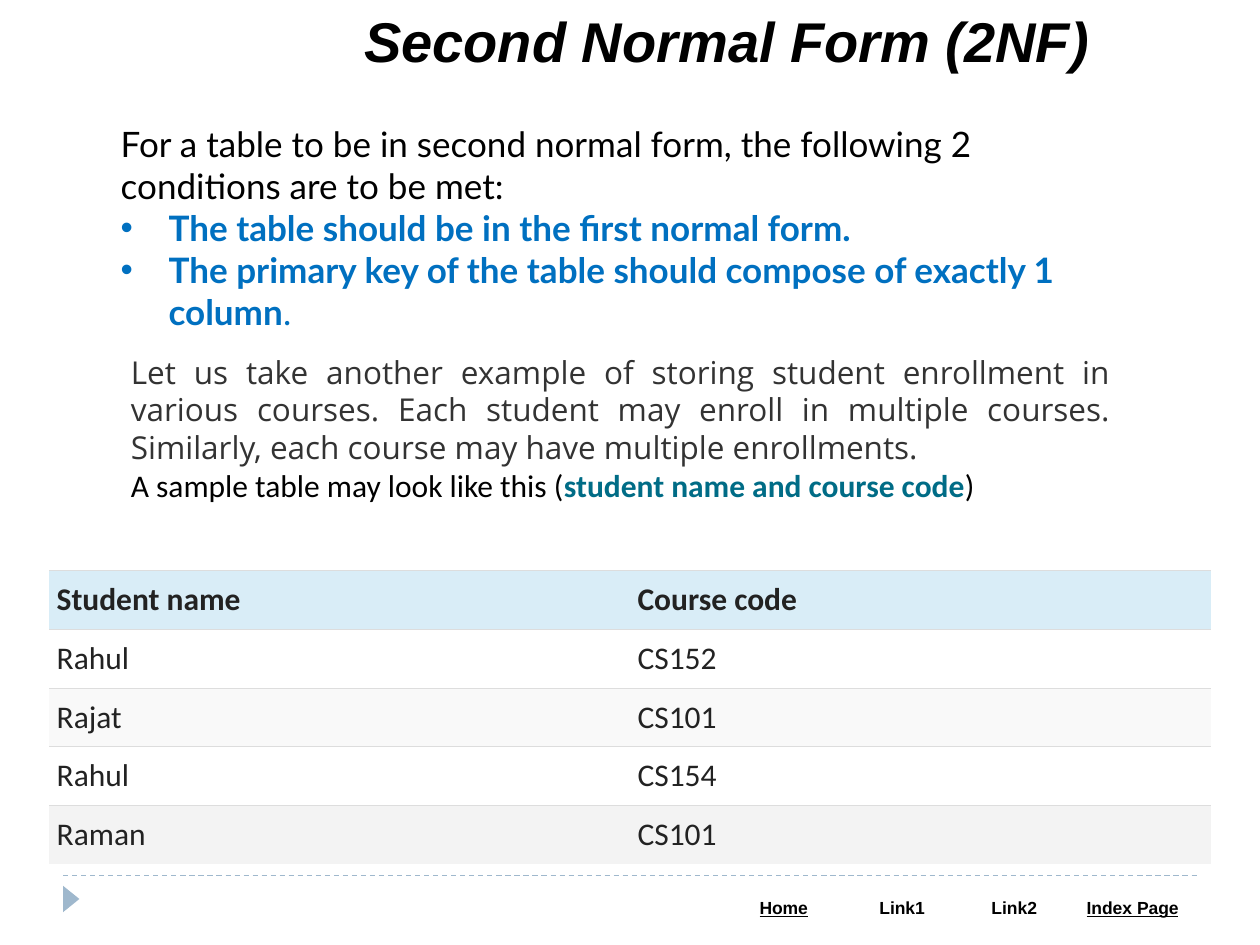
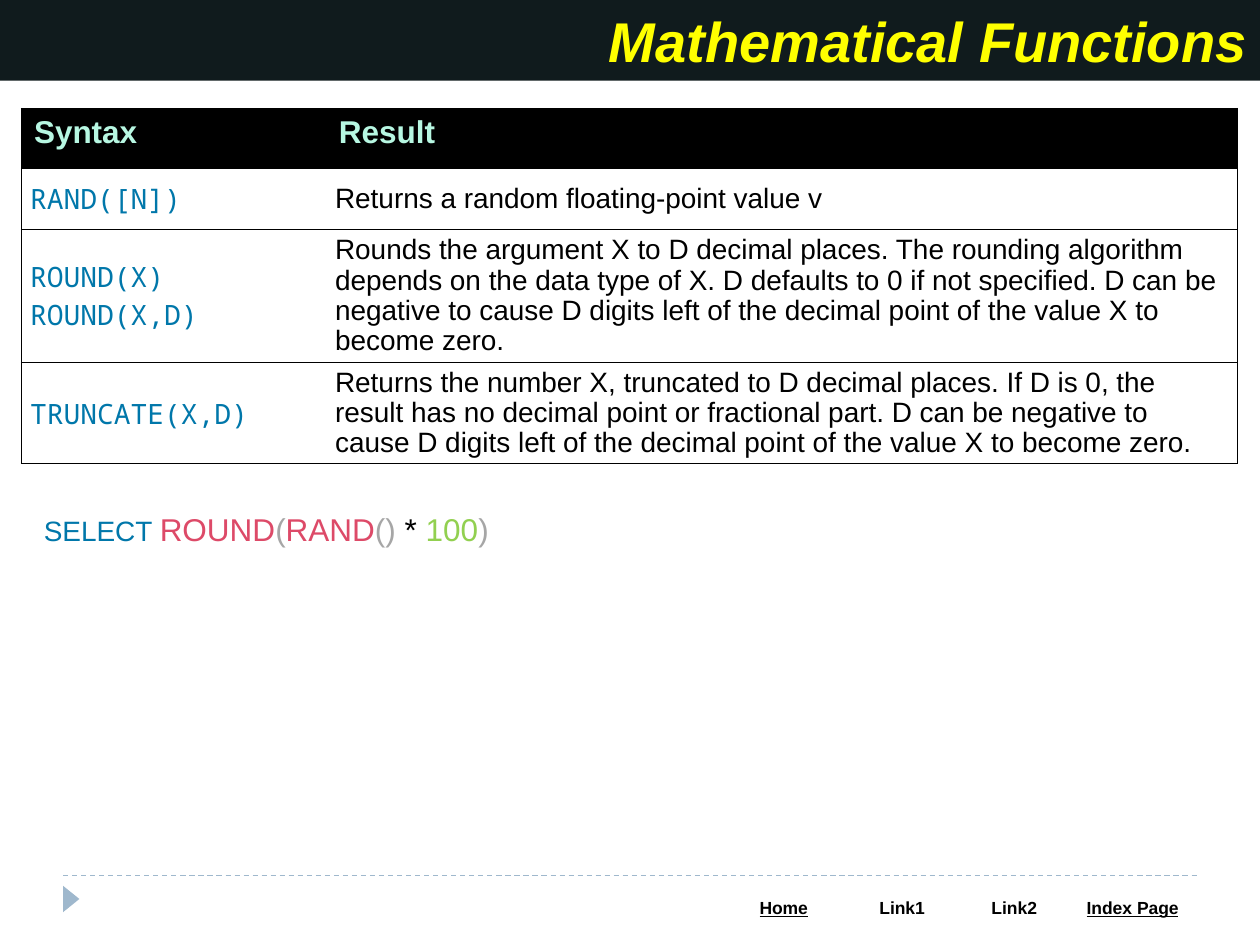
from collections import namedtuple

from lxml import etree
from pptx import Presentation
from pptx.dml.color import RGBColor
from pptx.enum.dml import MSO_LINE_DASH_STYLE as Dash
from pptx.enum.shapes import MSO_CONNECTOR as Connector, MSO_SHAPE as Shape
from pptx.enum.text import MSO_ANCHOR as Anchor, PP_ALIGN as Align
from pptx.oxml.ns import qn
from pptx.util import Inches, Pt

Box = namedtuple("Box", "left top width height")
Style = namedtuple("Style", "font size color bold italic underline", defaults=(False, False, False))

BLACK, WHITE = "000000", "FFFFFF"
ACCENT, RULE_GRAY = "9FB8CD", "DDDDDD"
CODE_BLUE, CODE_RED, CODE_GRAY, CODE_GREEN = "0077AA", "DD4A68", "A6A6A6", "92D050"
FOOTER_LINKS = [("Home", 0.94, True), ("Link1", 0.94, False),
                ("Link2", 0.84, False), ("Index Page", 1.04, True)]
ENROLLMENTS = [("Student name", "Course code"), ("Rahul", "CS152"), ("Rajat", "CS101"),
               ("Rahul", "CS154"), ("Raman", "CS101")]
ENROLLMENT_FILLS = ["D9EDF7", WHITE, "F9F9F9", WHITE, "F3F3F3"]
FUNCTIONS = [
    (["RAND([N])"], "Returns a random floating-point value v", 0.48),
    (["ROUND(X)", "ROUND(X,D)"],
     "Rounds the argument X to D decimal places. The rounding algorithm depends on the data type "
     "of X. D defaults to 0 if not specified. D can be negative to cause D digits left of the "
     "decimal point of the value X to become zero.", 1.06),
    (["TRUNCATE(X,D)"],
     "Returns the number X, truncated to D decimal places. If D is 0, the result has no decimal "
     "point or fractional part. D can be negative to cause D digits left of the decimal point of "
     "the value X to become zero.", 0.8),
]


def rgb(color):
    """Turn a hex string into a colour."""
    return RGBColor.from_string(color)


def inches(box):
    """Give the four lengths of a box."""
    return [Inches(length) for length in box]


def apply_style(font, style):
    """Set a font from a style."""
    font.name, font.size = style.font, Pt(style.size)
    font.bold, font.italic, font.underline = style.bold, style.italic, style.underline
    font.color.rgb = rgb(style.color)


def write_runs(paragraph, runs, align=Align.LEFT):
    """Fill a paragraph with (text, style) runs."""
    paragraph.alignment = align
    if len({style for _, style in runs}) == 1:
        apply_style(paragraph.font, runs[0][1])
    for text, style in runs:
        run = paragraph.add_run()
        run.text = text
        apply_style(run.font, style)


def write_paragraphs(frame, paragraphs, align=Align.LEFT):
    """Write one paragraph for each list of runs."""
    for index, runs in enumerate(paragraphs):
        paragraph = frame.add_paragraph() if index else frame.paragraphs[0]
        write_runs(paragraph, runs, align)
    return frame.paragraphs


def add_text(slide, box, paragraphs, align=Align.LEFT):
    """Add a wrapped text box and return its paragraphs."""
    frame = slide.shapes.add_textbox(*inches(box)).text_frame
    frame.word_wrap = True
    return write_paragraphs(frame, paragraphs, align)


def add_bullet(paragraph, indent):
    """Give a paragraph a hanging round bullet."""
    properties = paragraph._p.get_or_add_pPr()
    properties.set("marL", str(Inches(indent)))
    properties.set("indent", str(-Inches(indent)))
    etree.SubElement(properties, qn("a:buFont"), typeface="Arial")
    etree.SubElement(properties, qn("a:buChar"), char="•")


def add_table(slide, box, widths, heights):
    """Add an unbanded table with the given columns and rows."""
    table = slide.shapes.add_table(len(heights), len(widths), *inches(box)).table
    table.first_row = table.horz_banding = False
    for column, width in zip(table.columns, widths):
        column.width = Inches(width)
    for row, height in zip(table.rows, heights):
        row.height = Inches(height)
    return table


def set_cell(cell, paragraphs, fill, align=Align.LEFT, anchor=Anchor.TOP, insets=(0.1, 0.05)):
    """Write, fill and align a cell with side and top insets."""
    cell.fill.solid()
    cell.fill.fore_color.rgb = rgb(fill)
    cell.vertical_anchor = anchor
    cell.margin_left = cell.margin_right = Inches(insets[0])
    cell.margin_top = cell.margin_bottom = Inches(insets[1])
    write_paragraphs(cell.text_frame, paragraphs, align)


def set_borders(cell, **colors):
    """Draw the named sides of a cell and clear the others."""
    properties = cell._tc.get_or_add_tcPr()
    for index, side in enumerate("LRTB"):
        line = etree.Element(qn(f"a:ln{side}"), w=str(Pt(0.75)))
        if colors.get(side):
            fill = etree.SubElement(line, qn("a:solidFill"))
            etree.SubElement(fill, qn("a:srgbClr"), val=colors[side])
        else:
            etree.SubElement(line, qn("a:noFill"))
        properties.insert(index, line)


def add_title(slide, box, text, color, fill):
    """Add a right-aligned title on a filled band."""
    band = slide.shapes.add_shape(Shape.RECTANGLE, *inches(box))
    band.shadow.inherit = False
    band.fill.solid()
    band.fill.fore_color.rgb = rgb(fill)
    band.line.fill.background()
    band.text_frame.word_wrap = True
    band.text_frame.vertical_anchor = Anchor.MIDDLE
    style = Style("Arial", 32, color, bold=True, italic=True)
    write_paragraphs(band.text_frame, [[(text, style)]], Align.RIGHT)


def add_footer(slide, box):
    """Add the dashed rule, the marker and the row of links."""
    rule = slide.shapes.add_connector(
        Connector.STRAIGHT, *inches((box.left, box.top, box.left + box.width, box.top)))
    rule.line.color.rgb = rgb(ACCENT)
    rule.line.width = Pt(0.75)
    rule.line.dash_style = Dash.DASH
    etree.SubElement(rule._element.spPr, qn("a:effectLst"))

    marker = slide.shapes.add_shape(
        Shape.ISOSCELES_TRIANGLE, *inches((box.left - 0.04, box.top + 0.12, 0.21, 0.13)))
    marker.rotation = 90
    marker.shadow.inherit = False
    marker.fill.solid()
    marker.fill.fore_color.rgb = rgb(ACCENT)
    marker.line.fill.background()

    widths = [width for _, width, _ in FOOTER_LINKS]
    links_box = Box(box.left + box.width - 3.75, box.top + 0.13, 3.75, 0.27)
    table = add_table(slide, links_box, widths, [links_box.height])
    for cell, (text, _, underline) in zip(table.rows[0].cells, FOOTER_LINKS):
        style = Style("Arial", 10, BLACK, bold=True, underline=underline)
        set_cell(cell, [[(text, style)]], WHITE, Align.CENTER)
        set_borders(cell)


def add_conditions(slide, box):
    """Add the lead-in and the two bulleted conditions."""
    plain = Style("Lato", 20, BLACK)
    blue = plain._replace(color="0070C0")
    strong = blue._replace(bold=True)
    paragraphs = add_text(slide, box, [
        [("For a table to be in second normal form, the following 2 conditions are to be met:", plain)],
        [("The table should be in the first normal form.", strong)],
        [("The primary key of the table should compose of exactly 1 column", strong), (".", blue)],
    ])
    for paragraph in paragraphs[1:]:
        add_bullet(paragraph, 0.38)


def add_example(slide, box):
    """Add the justified description of the example."""
    plain = Style("Calibri", 18, BLACK)
    paragraphs = add_text(slide, box, [
        [("Let us take another example of storing student enrollment in various courses. "
          "Each student may enroll in multiple courses. Similarly, each course may have "
          "multiple enrollments.", Style("Open Sans", 18, "333333"))],
        [("A sample table may look like this (", plain),
         ("student name and course code", plain._replace(color="006C86", bold=True)),
         (")", plain)],
    ], Align.JUSTIFY)
    paragraphs[0].line_spacing = Pt(21.5)


def add_enrollment_table(slide, box):
    """Add the table of students and course codes."""
    count = len(ENROLLMENTS)
    table = add_table(slide, box, [box.width / 2] * 2, [box.height / count] * count)
    for index, (row, texts, fill) in enumerate(zip(table.rows, ENROLLMENTS, ENROLLMENT_FILLS)):
        style = Style("Calibri", 18, "222222", bold=index == 0)
        for cell, text in zip(row.cells, texts):
            set_cell(cell, [[(text, style)]], fill, anchor=Anchor.MIDDLE, insets=(0.06, 0.08))
            set_borders(cell, T=RULE_GRAY, B=RULE_GRAY if index < count - 1 else None)


def add_function_table(slide, box):
    """Add the table of function syntax and results."""
    heights = [0.48] + [height for _, _, height in FUNCTIONS]
    table = add_table(slide, box, [2.42, box.width - 2.42], heights)
    heading = Style("Arial", 18, "B7F7E2", bold=True)
    for cell, text in zip(table.rows[0].cells, ("Syntax", "Result")):
        set_cell(cell, [[(text, heading)]], BLACK)

    code, plain = Style("Noto Sans Mono", 16, CODE_BLUE), Style("Arial", 16, BLACK)
    for index, (calls, result, _) in enumerate(FUNCTIONS, 1):
        syntax_cell, result_cell = table.rows[index].cells
        for cell, paragraphs in ((syntax_cell, [[(call, code)] for call in calls]),
                                 (result_cell, [[(result, plain)]])):
            set_cell(cell, paragraphs, WHITE, anchor=Anchor.MIDDLE, insets=(0.07, 0))
        result_cell.text_frame.paragraphs[0].line_spacing = 0.97
    for row in table.rows:
        set_borders(row.cells[0], L=BLACK, T=BLACK, B=BLACK)
        set_borders(row.cells[1], R=BLACK, T=BLACK, B=BLACK)


def add_query(slide, box):
    """Add the sample query with coloured syntax."""
    tokens = [("SELECT ", 16, CODE_BLUE), ("ROUND", 18, CODE_RED), ("(", 18, CODE_GRAY),
              ("RAND", 18, CODE_RED), ("() ", 18, CODE_GRAY), ("* ", 18, BLACK),
              ("100", 18, CODE_GREEN), (")", 18, CODE_GRAY)]
    add_text(slide, box, [[(text, Style("Arial", size, color)) for text, size, color in tokens]])


def add_slide(presentation):
    """Add a blank slide with the shared footer."""
    slide = presentation.slides.add_slide(presentation.slide_layouts[6])
    add_footer(slide, Box(0.5, 6.95, 9, 0.4))
    return slide


def build_normal_form_slide(presentation):
    """Build the slide on second normal form."""
    slide = add_slide(presentation)
    add_title(slide, Box(1.25, 0, 7.5, 0.64), "Second Normal Form (2NF)", BLACK, WHITE)
    add_conditions(slide, Box(0.86, 0.92, 8.28, 1.45))
    add_example(slide, Box(0.94, 2.75, 7.97, 1.31))
    add_enrollment_table(slide, Box(0.39, 4.53, 9.22, 2.33))


def build_functions_slide(presentation):
    """Build the slide on mathematical functions."""
    slide = add_slide(presentation)
    add_title(slide, Box(0, 0, 10, 0.64), "Mathematical Functions", "FFFF00", "101B1D")
    add_function_table(slide, Box(0.17, 0.86, 9.65, 2.82))
    add_query(slide, Box(0.25, 4, 9.5, 0.4))


def main():
    """Build and save the presentation."""
    presentation = Presentation()
    presentation.slide_width, presentation.slide_height = Inches(10), Inches(7.5)
    build_normal_form_slide(presentation)
    build_functions_slide(presentation)
    presentation.save("out.pptx")


if __name__ == "__main__":
    main()
